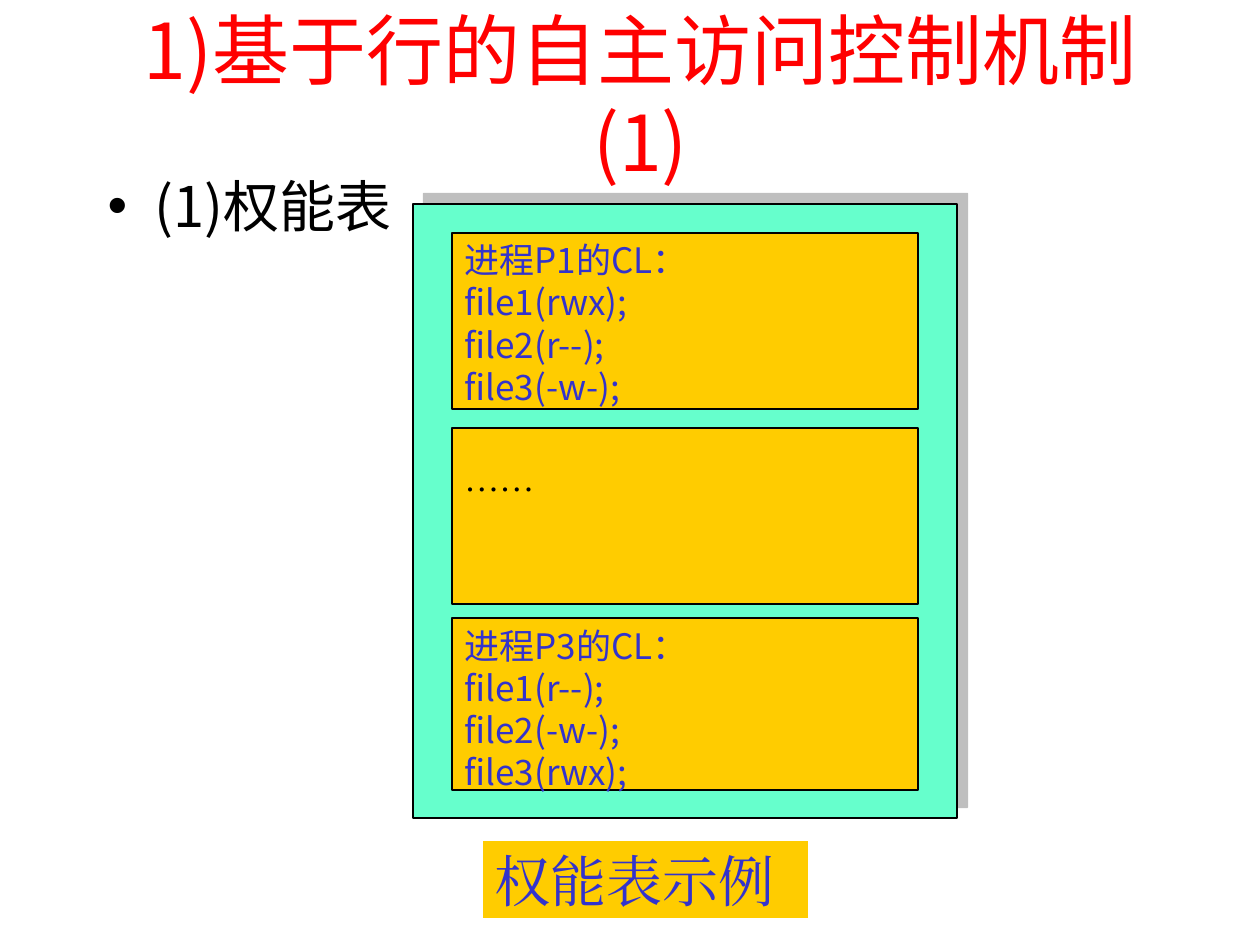
import pptx
import pptx.dml.color
import pptx.enum.shapes
import pptx.enum.text
import pptx.oxml
import pptx.oxml.ns
import pptx.util

RGB = pptx.dml.color.RGBColor
ALIGN = pptx.enum.text.PP_ALIGN
ANCHOR = pptx.enum.text.MSO_ANCHOR

RED = RGB(0xFF, 0x00, 0x00)
BLACK = RGB(0x00, 0x00, 0x00)
WHITE = RGB(0xFF, 0xFF, 0xFF)
BLUE = RGB(0x33, 0x33, 0xCC)
GOLD = RGB(0xFF, 0xCC, 0x00)
MINT = RGB(0x66, 0xFF, 0xCC)

SANS = "Noto Sans CJK JP"
SERIF = "Times New Roman"

PX_PER_INCH = 126
ENTRY_LEFT, ENTRY_WIDTH = 452, 466

SHADOW_XML = (
    '<a:effectLst %s><a:outerShdw dist="107950" dir="18900000" algn="ctr" rotWithShape="0">'
    '<a:srgbClr val="808080"><a:alpha val="50000"/></a:srgbClr>'
    "</a:outerShdw></a:effectLst>" % pptx.oxml.ns.nsdecls("a")
)


def px(length):
    return pptx.util.Emu(length * 914400 // PX_PER_INCH)


def set_all(target, values):
    for name, value in values.items():
        setattr(target, name, value)


def place(shape, left, top, width, height):
    set_all(shape, {"left": px(left), "top": px(top),
                    "width": px(width), "height": px(height)})


def write(frame, lines, size, face, color, align):
    """Fill a text frame with one paragraph for each line."""
    frame.text = "\n".join(lines)
    set_all(frame, {"word_wrap": True, "auto_size": pptx.enum.text.MSO_AUTO_SIZE.NONE})
    for paragraph in frame.paragraphs:
        set_all(paragraph, {"alignment": align, "space_before": pptx.util.Pt(0)})
        for run in paragraph.runs:
            set_all(run.font, {"size": pptx.util.Pt(size), "name": face})
            run.font.color.rgb = color
            east_asian = pptx.oxml.parse_xml(
                '<a:ea %s typeface="%s"/>' % (pptx.oxml.ns.nsdecls("a"), face))
            run.font._element.find(pptx.oxml.ns.qn("a:latin")).addnext(east_asian)


def add_box(slide, left, top, width, height, fill, line):
    box = slide.shapes.add_shape(
        pptx.enum.shapes.MSO_SHAPE.RECTANGLE, px(left), px(top), px(width), px(height))
    box.shadow.inherit = False
    box.fill.solid()
    box.fill.fore_color.rgb = fill
    box.line.color.rgb = line
    box.line.width = pptx.util.Pt(0.75)
    box.text_frame.vertical_anchor = ANCHOR.TOP
    return box


def add_panel(slide):
    """Backing panel with a shadow towards the upper right."""
    panel = add_box(slide, 413, 204, 544, 614, MINT, BLACK)
    properties = panel._element.spPr
    properties.replace(properties.find(pptx.oxml.ns.qn("a:effectLst")),
                       pptx.oxml.parse_xml(SHADOW_XML))


def add_entry(slide, top, height, lines, face=SANS, color=BLUE, inset=6):
    entry = add_box(slide, ENTRY_LEFT, top, ENTRY_WIDTH, height, GOLD, BLACK)
    entry.text_frame.margin_top = px(inset)
    write(entry.text_frame, lines, 20, face, color, ALIGN.JUSTIFY)


def fill_headings(slide):
    title, topic = slide.placeholders[0], slide.placeholders[1]
    place(title, 95, 16, 1091, 158)
    write(title.text_frame, ["1)基于行的自主访问控制机制(1)"], 44, SANS, RED, ALIGN.CENTER)
    title.text_frame.vertical_anchor = ANCHOR.MIDDLE

    place(topic, 95, 165, 1071, 735)
    write(topic.text_frame, ["(1)权能表"], 32, SANS, BLACK, ALIGN.LEFT)
    bullet_format = topic.text_frame.paragraphs[0]._p.get_or_add_pPr()
    bullet_format.set("marL", str(px(47)))
    bullet_format.set("indent", str(-px(47)))


def main():
    deck = pptx.Presentation()
    set_all(deck, {"slide_width": px(1260), "slide_height": px(945)})
    slide = deck.slides.add_slide(deck.slide_layouts[1])
    fill_headings(slide)

    # Capability lists of the processes
    add_panel(slide)
    add_entry(slide, 233, 176, ["进程P1的CL：", "file1(rwx);", "file2(r--);", "file3(-w-);"])
    add_entry(slide, 428, 176, ["……"], SERIF, BLACK, inset=29)
    add_entry(slide, 618, 172, ["进程P3的CL：", "file1(r--);", "file2(-w-);", "file3(rwx);"])

    # Caption
    caption = add_box(slide, 482, 840, 327, 79, GOLD, WHITE)
    write(caption.text_frame, ["权能表示例"], 32, SERIF, BLUE, ALIGN.JUSTIFY)

    deck.save("out.pptx")


if __name__ == "__main__":
    main()
